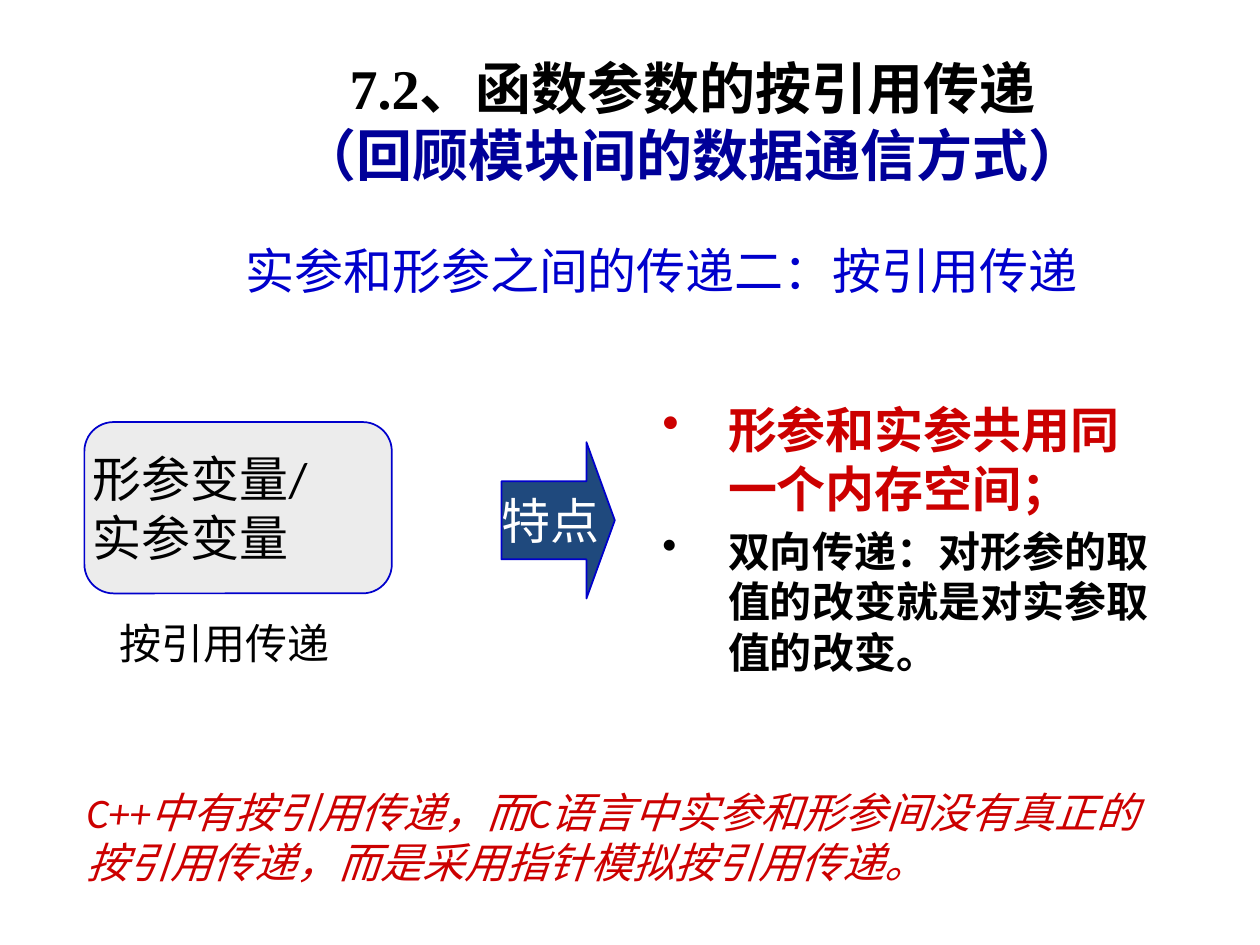
from lxml.etree import SubElement
from pptx import Presentation
from pptx.dml.color import RGBColor
from pptx.enum.shapes import MSO_SHAPE as Shape
from pptx.enum.text import MSO_ANCHOR as Anchor, PP_ALIGN as Align
from pptx.oxml.ns import qn
from pptx.util import Inches, Pt

BLACK = RGBColor(0x00, 0x00, 0x00)
WHITE = RGBColor(0xFF, 0xFF, 0xFF)
NAVY = RGBColor(0x00, 0x00, 0x99)
BLUE = RGBColor(0x00, 0x00, 0xCC)
RED = RGBColor(0xCC, 0x00, 0x00)
STEEL = RGBColor(0x1F, 0x49, 0x7D)
GREY = RGBColor(0xEC, 0xEC, 0xEC)


def style(font, size, color, bold=False, italic=False, name="Calibri"):
    """Set the look of a font."""
    font.name, font.size = name, Pt(size)
    font.bold, font.italic = bold, italic
    font.color.rgb = color


def add_box(slide, box):
    """Add a wrapping text box and return its frame."""
    frame = slide.shapes.add_textbox(*map(Inches, box)).text_frame
    frame.word_wrap = True
    return frame


def add_title(slide, box, head, sub):
    """Add the centred title in two colours."""
    frame = add_box(slide, box)
    frame.vertical_anchor = Anchor.MIDDLE
    para = frame.paragraphs[0]
    para.alignment = Align.CENTER
    first = para.add_run()
    first.text = head
    para.add_line_break()
    second = para.add_run()
    second.text = sub
    for run, color in ((first, BLACK), (second, NAVY)):
        style(run.font, 32, color, bold=True, name="Times New Roman")


def add_note(slide, box, text, size, color, italic=False):
    """Add a single paragraph of plain text."""
    frame = add_box(slide, box)
    para = frame.paragraphs[0]
    para.text = text
    style(para.font, size, color, italic=italic)
    return frame


def add_list(slide, box, items):
    """Add bold bulleted paragraphs with a hanging indent."""
    frame = add_box(slide, box)
    for i, (text, size, color) in enumerate(items):
        para = frame.add_paragraph() if i else frame.paragraphs[0]
        para.text = text
        para.space_before = Pt(0.2 * size)
        style(para.font, size, color, bold=True)
        props = para._p.get_or_add_pPr()
        props.set("marL", str(Inches(0.52)))
        props.set("indent", str(-Inches(0.52)))
        mark = SubElement(props, qn("a:buChar"))
        mark.set("char", "•")
        props.remove(mark)
        props.insert_element_before(mark, "a:tabLst", "a:defRPr", "a:extLst")


def add_block(slide, kind, box, adjust, fill, text, color, wrap):
    """Add an outlined shape with left-aligned text."""
    shape = slide.shapes.add_shape(kind, *map(Inches, box))
    for i, value in enumerate(adjust):
        shape.adjustments[i] = value
    shape.shadow.inherit = False
    shape.fill.solid()
    shape.fill.fore_color.rgb = fill
    shape.line.color.rgb = BLUE
    shape.line.width = Pt(1)
    frame = shape.text_frame
    frame.word_wrap = wrap
    frame.vertical_anchor = Anchor.MIDDLE
    frame.margin_left = frame.margin_right = 0
    para = frame.paragraphs[0]
    para.text = text
    para.alignment = Align.LEFT
    style(para.font, 28, color)


def main():
    """Build the slide and save it."""
    deck = Presentation()
    deck.slide_width, deck.slide_height = Inches(10), Inches(7.5)
    slide = deck.slides.add_slide(deck.slide_layouts[6])
    add_title(slide, (1.5, 0.33, 8, 1.25),
              "7.2、函数参数的按引用传递", "（回顾模块间的数据通信方式）")
    add_note(slide, (1.85, 1.86, 7.16, 0.79),
             "实参和形参之间的传递二：按引用传递", 28, BLUE)
    add_list(slide, (5.16, 3.12, 4.17, 2.79), (
        ("形参和实参共用同一个内存空间；", 28, RED),
        ("双向传递：对形参的取值的改变就是对实参取值的改变。", 24, BLACK)))
    add_block(slide, Shape.RIGHT_ARROW, (3.98, 3.51, 0.9, 1.24),
              (0.5, 0.25), STEEL, "特点", WHITE, False)
    add_note(slide, (0.59, 6.19, 8.74, 0.79),
             "C++中有按引用传递，而C语言中实参和形参间没有真正的按引用传递，"
             "而是采用指针模拟按引用传递。", 24, RED, italic=True)
    add_block(slide, Shape.ROUNDED_RECTANGLE, (0.67, 3.35, 2.44, 1.36),
              (0.17,), GREY, "形参变量/\v实参变量", BLACK, True)
    label = add_note(slide, (0.75, 4.85, 2.2, 0.58), "按引用传递", 24, BLACK)
    label.margin_left, label.margin_right = Inches(0.2), 0
    deck.save("out.pptx")


if __name__ == "__main__":
    main()
